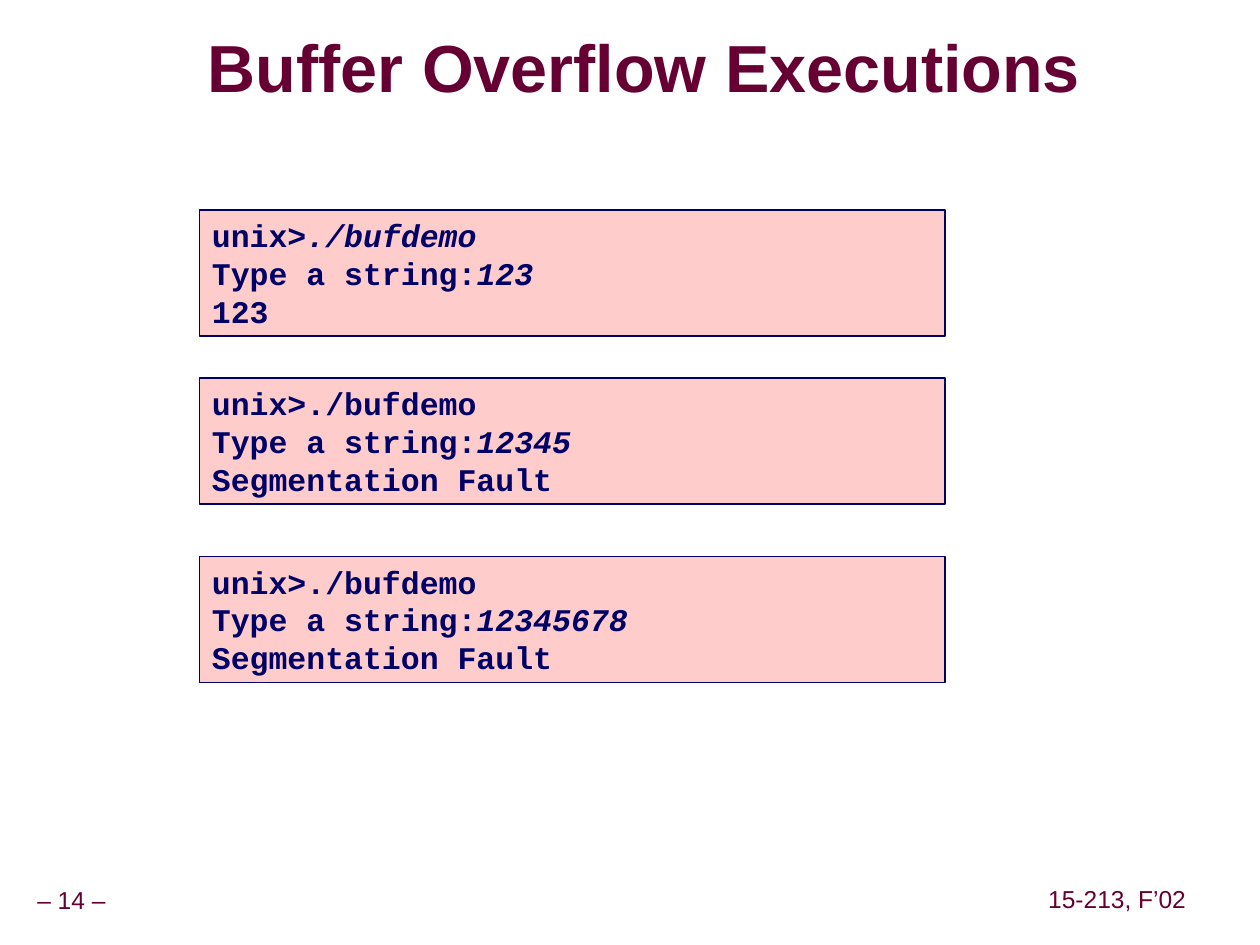
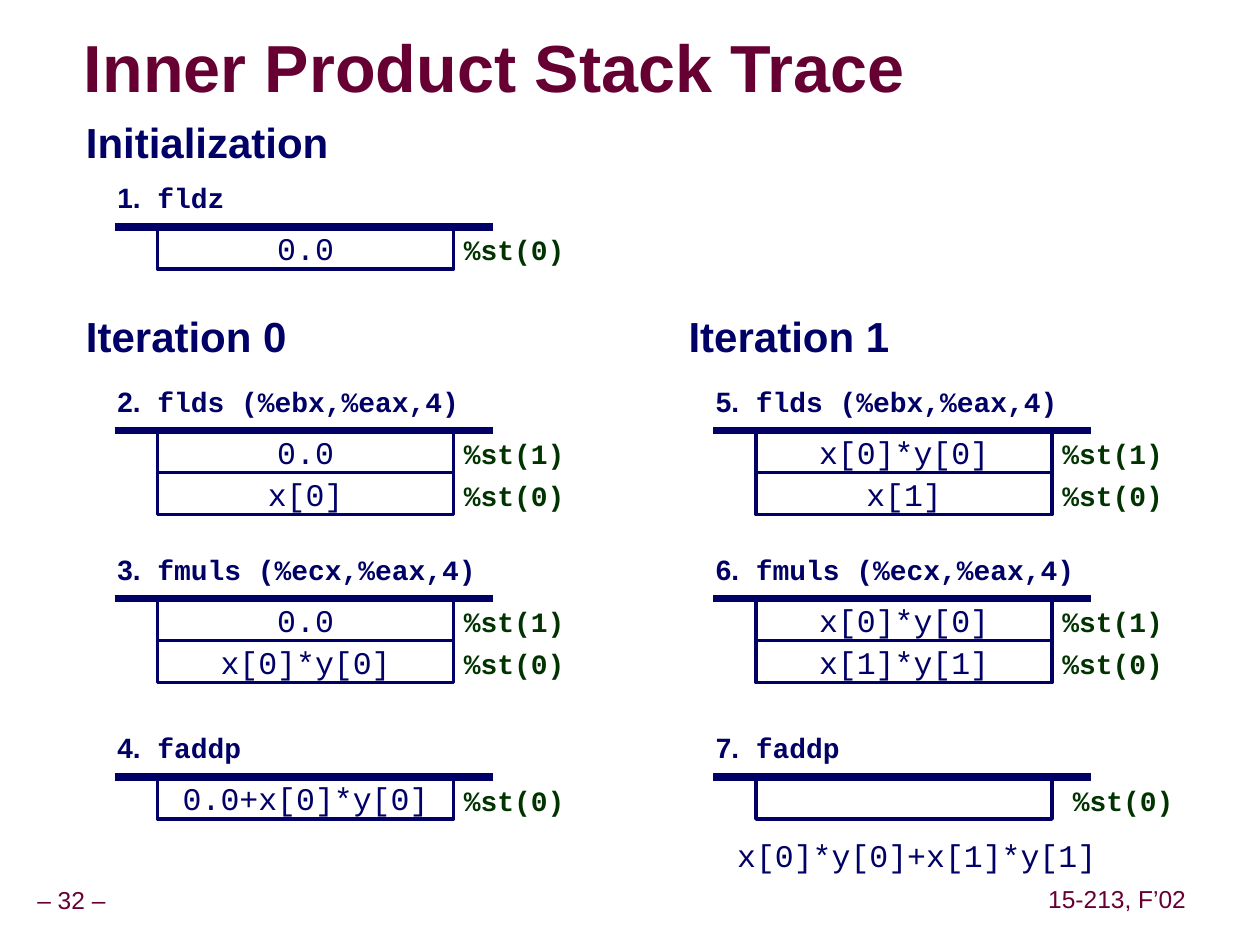
import pptx
import pptx.util
import pptx.dml.color
import pptx.enum.shapes
import pptx.enum.text
import pptx.oxml
import pptx.oxml.ns

WIDTH, HEIGHT = pptx.util.Inches(10), pptx.util.Inches(7.5)
COLUMNS, ROWS = 120, 90
MAROON, NAVY, GREEN, PINK, WHITE = "660033", "000066", "003300", "FFCCCC", "FFFFFF"
SANS, MONO = "Arial", "Courier New"

ALIGN = pptx.enum.text.PP_ALIGN
ANCHOR = pptx.enum.text.MSO_ANCHOR
TITLE = dict(name=SANS, size=38, bold=True, color=MAROON)
FOOTER = dict(name=SANS, size=14, color=MAROON)
HEADING = dict(name=SANS, size=24, bold=True, color=NAVY)
STEP = dict(name=SANS, size=16, bold=True, color=NAVY)
INSTRUCTION = dict(STEP, name=MONO)
REGISTER = dict(INSTRUCTION, color=GREEN)
VALUE = dict(name=MONO, size=18, color=NAVY)
COMMAND = dict(VALUE, bold=True)
TYPED = dict(COMMAND, italic=True)

CELL_WIDTH, CELL_HEIGHT = 28.2, 4
INSET = (0.1, 0.05, 0.1, 0.05)
SHADOW = (
    '<a:effectLst %s><a:outerShdw dist="38100" dir="2700000">'
    '<a:srgbClr val="969696"/></a:outerShdw></a:effectLst>' % pptx.oxml.ns.nsdecls("a")
)


def rgb(value):
    return pptx.dml.color.RGBColor.from_string(value)


def place(column, row, width, height):
    return (
        round(column * WIDTH / COLUMNS),
        round(row * HEIGHT / ROWS),
        round(width * WIDTH / COLUMNS),
        round(height * HEIGHT / ROWS),
    )


def format_span(span, style):
    for name, value in style.items():
        if name == "color":
            span.font.color.rgb = rgb(value)
        elif name == "size":
            span.font.size = pptx.util.Pt(value)
        else:
            setattr(span.font, name, value)


def write(shape, paras, align=ALIGN.LEFT, anchor=ANCHOR.TOP, inset=INSET, wrap=True, spacing=1.0):
    frame = shape.text_frame
    settings = dict(word_wrap=wrap, auto_size=pptx.enum.text.MSO_AUTO_SIZE.NONE, vertical_anchor=anchor)
    sides = ("margin_left", "margin_top", "margin_right", "margin_bottom")
    settings.update(zip(sides, map(pptx.util.Inches, inset)))
    for name, value in settings.items():
        setattr(frame, name, value)
    for index, spans in enumerate(paras):
        para = frame.add_paragraph() if index else frame.paragraphs[0]
        para.alignment, para.line_spacing = align, spacing
        for text, style in spans:
            span = para.add_run()
            span.text = text
            format_span(span, style)


def add_text(page, box, spans, **layout):
    write(page.shapes.add_textbox(*place(*box)), [spans], **layout)


def add_panel(page, box, fill, line_width, paras, **layout):
    panel = page.shapes.add_shape(pptx.enum.shapes.MSO_SHAPE.RECTANGLE, *place(*box))
    panel.shadow.inherit = False
    panel.fill.solid()
    panel.fill.fore_color.rgb = rgb(fill)
    panel.line.color.rgb = rgb(NAVY)
    panel.line.width = pptx.util.Pt(line_width)
    write(panel, paras, **layout)


def add_bar(page, column, row, width):
    left, top, length, _ = place(column, row, width, 0)
    bar = page.shapes.add_connector(
        pptx.enum.shapes.MSO_CONNECTOR.STRAIGHT, left, top, left + length, top
    )
    bar.line.color.rgb = rgb(NAVY)
    bar.line.width = pptx.util.Pt(4.5)
    effects = pptx.oxml.parse_xml("<a:effectLst %s/>" % pptx.oxml.ns.nsdecls("a"))
    bar.element.spPr.append(effects)


def add_page(deck, title, title_column, title_width, number):
    page = deck.slides.add_slide(deck.slide_layouts[5])
    heading = page.shapes.title
    heading.left, heading.top, heading.width, heading.height = place(title_column, 3, title_width, 7.6)
    write(heading, [[(title, TITLE)]], anchor=ANCHOR.MIDDLE, inset=(0, 0, 0, 0), spacing=0.87)
    fill = heading.text_frame.paragraphs[0].runs[0].font.fill
    fill.solid()
    fill.fore_color.rgb = rgb(MAROON)
    solid = heading.element.find(".//" + pptx.oxml.ns.qn("a:rPr")).find(pptx.oxml.ns.qn("a:solidFill"))
    solid.addnext(pptx.oxml.parse_xml(SHADOW))
    footers = [((0, 84, 13.6, 3.7), f"– {number} –"), ((99.2, 83.9, 14.4, 3.7), "15-213, F’02")]
    for box, text in footers:
        add_text(
            page, box, [(text, FOOTER)],
            align=ALIGN.CENTER, anchor=ANCHOR.MIDDLE, inset=(0.05,) * 4, wrap=False, spacing=0.9,
        )
    return page


def add_console(page, row, command_style, typed, reply):
    paras = [
        [("unix>", COMMAND), ("./bufdemo", command_style)],
        [("Type a string:", COMMAND), (typed, TYPED)],
        [(reply, COMMAND)],
    ]
    add_panel(page, (19, row, 71, 12), PINK, 1, paras)


def add_stack(page, column, row, step, instruction, values, register_shift=0):
    add_text(page, (column, row, 38, 4.4), [(f"{step}.", STEP), (f" {instruction}", INSTRUCTION)])
    top = row + 5
    for index, value in enumerate(values):
        cell_row = top + index * CELL_HEIGHT
        add_panel(
            page, (column + 5, cell_row, CELL_WIDTH, CELL_HEIGHT), WHITE, 2,
            [[(value, VALUE)]] if value else [],
            align=ALIGN.CENTER, anchor=ANCHOR.MIDDLE, wrap=False,
        )
        register = f"%st({len(values) - 1 - index})"
        add_text(page, (column + 33 + register_shift, cell_row, 12, 4.4), [(register, REGISTER)], wrap=False)
    add_bar(page, column + 0.95, top, 36)


def build_executions(deck):
    page = add_page(deck, "Buffer Overflow Executions", 19.8, 84.1, 14)
    fault = "Segmentation Fault"
    add_console(page, 20, TYPED, "123", "123")
    add_console(page, 36, COMMAND, "12345", fault)
    add_console(page, 53, COMMAND, "12345678", fault)


def build_iteration(page, column, heading_column, number, first_step, stacks, register_shift=0):
    add_text(page, (heading_column, 29, 21.5, 6), [(f"Iteration {number}", HEADING)], wrap=False)
    instructions = ("flds (%ebx,%eax,4)", "fmuls (%ecx,%eax,4)", "faddp")
    shifts = (0, 0, register_shift)
    for index, (row, instruction, values, shift) in enumerate(zip((36, 52, 69), instructions, stacks, shifts)):
        add_stack(page, column, row, first_step + index, instruction, values, shift)


def build_stack_trace(deck):
    page = add_page(deck, "Inner Product Stack Trace", 8, 90, 32)
    add_text(page, (7, 10.5, 25.5, 6), [("Initialization", HEADING)], wrap=False)
    add_stack(page, 10, 16.6, 1, "fldz", ["0.0"])
    build_iteration(page, 10, 7, 0, 2, [["0.0", "x[0]"], ["0.0", "x[0]*y[0]"], ["0.0+x[0]*y[0]"]])
    build_iteration(
        page, 67, 64.4, 1, 5,
        [["x[0]*y[0]", "x[1]"], ["x[0]*y[0]", "x[1]*y[1]"], [""]],
        register_shift=1,
    )
    add_text(page, (69, 79, 36.6, 4.8), [("x[0]*y[0]+x[1]*y[1]", VALUE)], align=ALIGN.CENTER, wrap=False)


def main():
    deck = pptx.Presentation()
    deck.slide_width, deck.slide_height = WIDTH, HEIGHT
    build_executions(deck)
    build_stack_trace(deck)
    deck.save("out.pptx")


if __name__ == "__main__":
    main()
